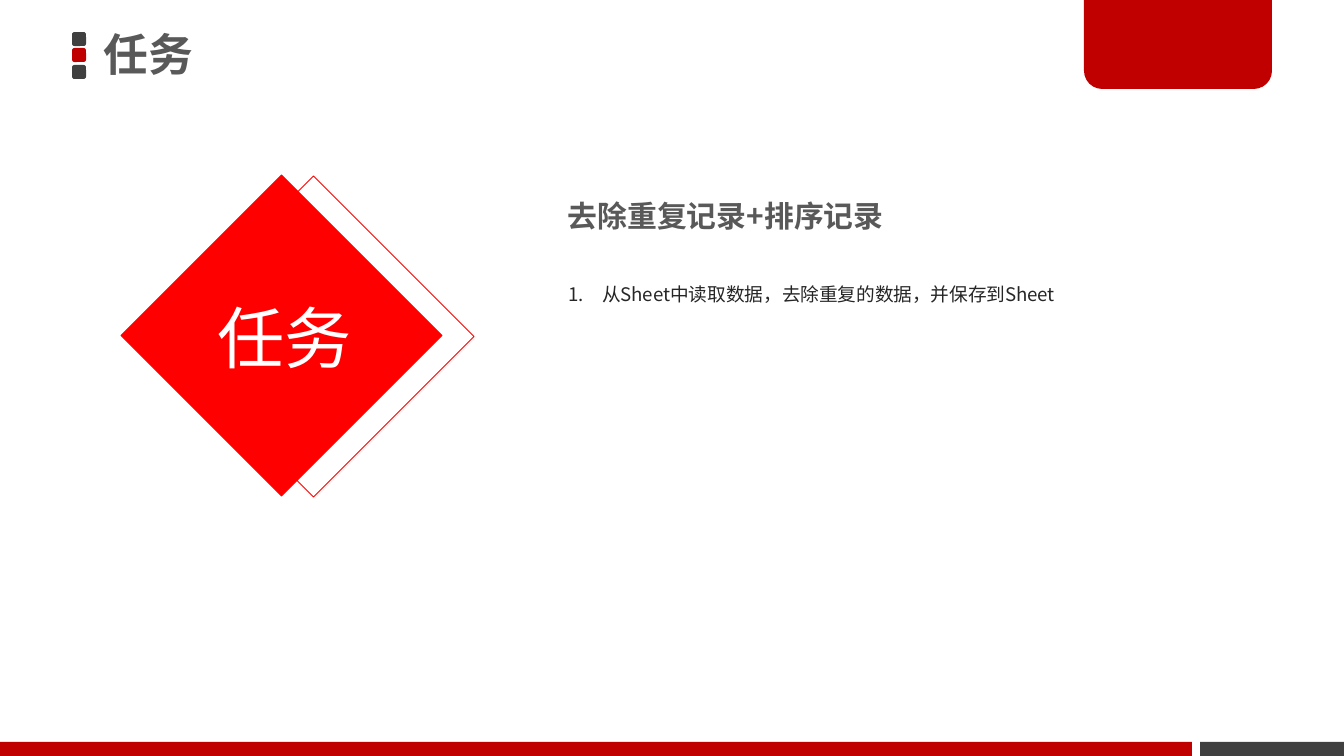
from lxml.etree import SubElement
from pptx import Presentation
from pptx.dml.color import RGBColor
from pptx.enum.shapes import MSO_SHAPE as Shape
from pptx.enum.text import MSO_ANCHOR as Anchor, PP_ALIGN as Align
from pptx.oxml.ns import qn
from pptx.util import Emu, Pt

EMU_PER_PX = 914400 / 134.4
FONT = "Noto Sans CJK SC"
COLORS = {
    "crimson": "C00000",
    "red": "FF0000",
    "charcoal": "404040",
    "heading": "595959",
    "body": "262626",
    "white": "FFFFFF",
}


def px(length):
    return Emu(round(length * EMU_PER_PX))


def color(name):
    return RGBColor.from_string(COLORS[name])


def add_block(slide, kind, box, fill=None, line=None, rotation=0, corners=()):
    block = slide.shapes.add_shape(kind, *map(px, box))
    block.shadow.inherit = False
    block.rotation = rotation
    for index, corner in enumerate(corners):
        block.adjustments[index] = corner
    if fill:
        block.fill.solid()
        block.fill.fore_color.rgb = color(fill)
    else:
        block.fill.background()
    if line:
        block.line.color.rgb = color(line)
        block.line.width = Pt(0.5)
    else:
        block.line.fill.background()


def add_text(slide, text, box, size, ink, bold=False, align=Align.LEFT,
             anchor=Anchor.TOP, spacing=1.0, inset=(13, 7), numbered=False):
    frame = slide.shapes.add_textbox(*map(px, box)).text_frame
    frame.word_wrap = True
    frame.vertical_anchor = anchor
    frame.margin_left = frame.margin_right = px(inset[0])
    frame.margin_top = frame.margin_bottom = px(inset[1])
    paragraph = frame.paragraphs[0]
    paragraph.alignment = align
    paragraph.line_spacing = spacing
    run = paragraph.add_run()
    run.text = text
    run.font.name = FONT
    run.font.size = Pt(size)
    run.font.bold = bold
    run.font.color.rgb = color(ink)
    SubElement(run.font._element, qn("a:ea"), typeface=FONT)
    if numbered:
        number_paragraph(paragraph, ink)


def number_paragraph(paragraph, ink):
    properties = paragraph._p.get_or_add_pPr()
    indent = px(34)
    properties.set("marL", str(indent))
    properties.set("indent", str(-indent))
    number_color = SubElement(properties, qn("a:buClr"))
    SubElement(number_color, qn("a:srgbClr"), val=COLORS[ink])
    SubElement(properties, qn("a:buFont"), typeface=FONT)
    SubElement(properties, qn("a:buAutoNum"), type="arabicPeriod")


def add_frame(slide):
    for top, fill in ((32, "charcoal"), (48, "crimson"), (65, "charcoal")):
        add_block(slide, Shape.ROUNDED_RECTANGLE, (72, top, 14, 14), fill,
                  corners=(0.17,))
    add_block(slide, Shape.RECTANGLE, (1200, 742, 144, 14), "charcoal")
    add_block(slide, Shape.ROUND_2_SAME_RECTANGLE, (1084, -2, 188, 91),
              "crimson", corners=(0, 0.2))
    add_block(slide, Shape.RECTANGLE, (0, 742, 1192, 14), "crimson")


def add_diamonds(slide):
    side = 227
    add_block(slide, Shape.RECTANGLE, (200, 223, side, side), line="red",
              rotation=45)
    add_block(slide, Shape.RECTANGLE, (168, 222, side, side), "red", "red",
              rotation=45)


def main():
    deck = Presentation()
    deck.slide_width, deck.slide_height = px(1344), px(756)
    slide = deck.slides.add_slide(deck.slide_layouts[6])
    add_frame(slide)
    add_diamonds(slide)
    title = {"anchor": Anchor.MIDDLE, "spacing": 0.9, "inset": (11, 5)}
    add_text(slide, "任务", (3, 282, 563, 120), 36, "white",
             align=Align.CENTER, **title)
    add_text(slide, "任务", (93, -3, 579, 120), 24, "heading", bold=True,
             **title)
    add_text(slide, "去除重复记录+排序记录", (555, 191, 519, 50), 16,
             "heading", bold=True)
    add_text(slide, "从Sheet中读取数据，去除重复的数据，并保存到Sheet",
             (555, 242, 751, 70), 10, "body", spacing=2.5, numbered=True)
    deck.save("out.pptx")


if __name__ == "__main__":
    main()
